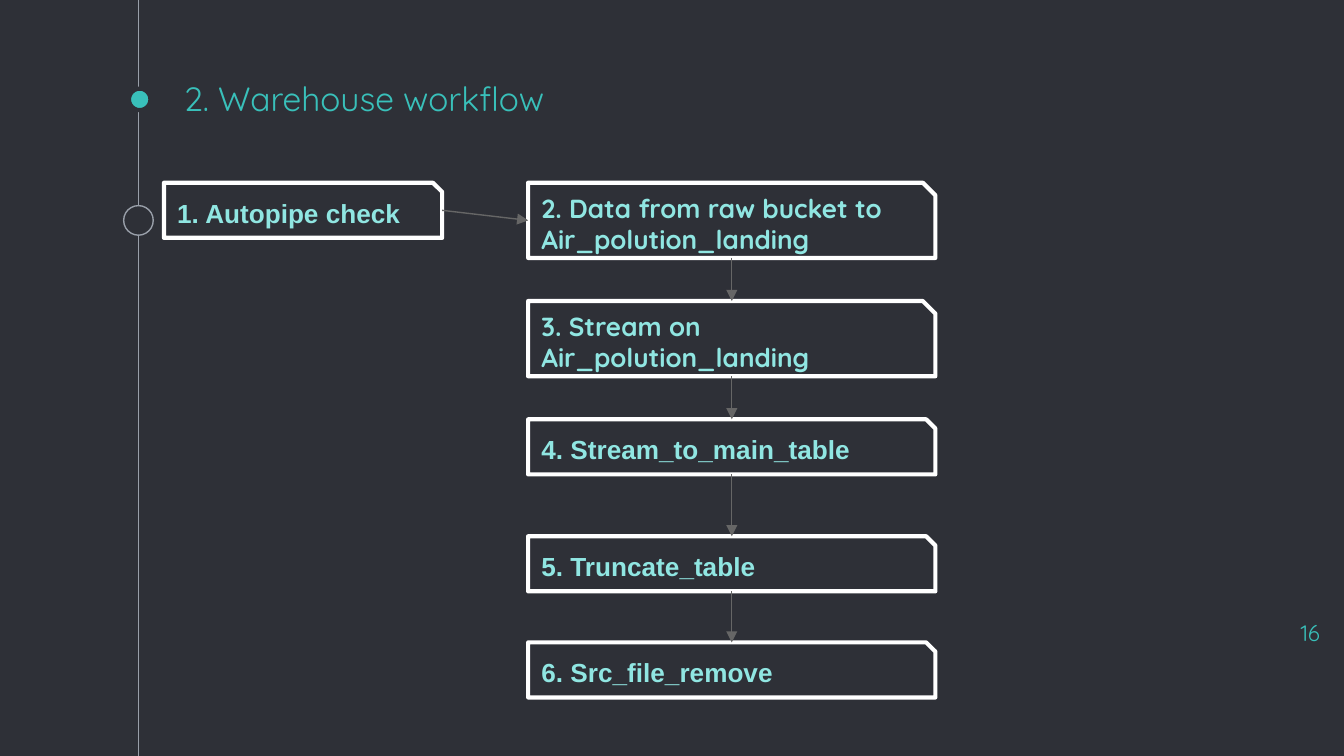
from lxml import etree
from pptx import Presentation
from pptx import util as u
from pptx.dml.color import RGBColor
from pptx.enum import shapes, text
from pptx.oxml.ns import qn

COLORS = {
    "background": "2E3037",
    "rail": "999FA9",
    "accent": "39C0BA",
    "step": "90E6E2",
    "border": "FFFFFF",
    "arrow": "666666",
}
SLIDE_WIDTH = 10
SLIDE_HEIGHT = SLIDE_WIDTH * 9 / 16
STEP_LEFT, STEP_WIDTH = 3.93, 3.03
ONE_LINE, TWO_LINES = 0.41, 0.56
STEPS = [
    ("2. Data from raw bucket to Air_polution_landing", 1.36, TWO_LINES, "Quicksand"),
    ("3. Stream on\nAir_polution_landing", 2.24, TWO_LINES, "Quicksand"),
    ("4. Stream_to_main_table", 3.12, ONE_LINE, "Arial"),
    ("5. Truncate_table", 3.99, ONE_LINE, "Arial"),
    ("6. Src_file_remove", 4.78, ONE_LINE, "Arial"),
]


def color(name):
    """Return the named palette colour."""
    return RGBColor.from_string(COLORS[name])


def set_text(sp, content, size, font, ink, align, anchor, bold=False):
    """Write text into a shape and format all its runs."""
    tf = sp.text_frame
    tf.text = content
    tf.word_wrap = True
    tf.vertical_anchor = anchor
    tf.margin_left = tf.margin_right = u.Inches(0.1)
    tf.margin_top = tf.margin_bottom = u.Inches(0.1)
    for p in tf.paragraphs:
        p.alignment = align
        for r in p.runs:
            r.font.size = u.Pt(size)
            r.font.name = font
            r.font.bold = bold
            r.font.color.rgb = color(ink)


def add_label(s, box, content, size, align, anchor):
    """Add an accent-coloured text box."""
    sp = s.shapes.add_textbox(*map(u.Inches, box))
    set_text(sp, content, size, "Quicksand", "accent", align, anchor)


def add_outlined(s, kind, box, line, width, fill=None):
    """Add a preset shape with an outline and an optional fill."""
    sp = s.shapes.add_shape(kind, *map(u.Inches, box))
    sp.shadow.inherit = False
    if fill:
        sp.fill.solid()
        sp.fill.fore_color.rgb = color(fill)
    else:
        sp.fill.background()
    sp.line.color.rgb = color(line)
    sp.line.width = u.Pt(width)
    return sp


def add_step(s, content, box, font):
    """Add a workflow step with one snipped corner."""
    kind = shapes.MSO_SHAPE.SNIP_1_RECTANGLE
    sp = add_outlined(s, kind, box, "border", 2.25)
    sp.adjustments[0] = 0.167
    set_text(sp, content, 14, font, "step", text.PP_ALIGN.LEFT,
             text.MSO_ANCHOR.MIDDLE, bold=True)
    return sp


def add_line(s, start, end, ink):
    """Add a thin straight connector without a shadow."""
    points = map(u.Inches, (*start, *end))
    line = s.shapes.add_connector(shapes.MSO_CONNECTOR.STRAIGHT, *points)
    line.line.color.rgb = color(ink)
    line.line.width = u.Pt(0.75)
    etree.SubElement(line._element.spPr, qn("a:effectLst"))
    return line


def add_arrow(s, source, source_site, target, target_site):
    """Join two steps with an arrow."""
    arrow = add_line(s, (0, 0), (0, 0), "arrow")
    arrow.begin_connect(source, source_site)
    arrow.end_connect(target, target_site)
    etree.SubElement(arrow.line._get_or_add_ln(), qn("a:tailEnd"), type="triangle")


def add_timeline(s):
    """Add the vertical rail with its two markers."""
    oval = shapes.MSO_SHAPE.OVAL
    add_line(s, (1.03, 0), (1.03, SLIDE_HEIGHT), "rail")
    add_outlined(s, oval, (0.96, 0.66, 0.16, 0.16), "background", 2.25, "accent")
    add_outlined(s, oval, (0.92, 1.53, 0.22, 0.22), "rail", 0.75, "background")


def main():
    """Build and save the workflow slide."""
    prs = Presentation()
    prs.slide_width, prs.slide_height = u.Inches(SLIDE_WIDTH), u.Inches(SLIDE_HEIGHT)
    s = prs.slides.add_slide(prs.slide_layouts[6])
    s.background.fill.solid()
    s.background.fill.fore_color.rgb = color("background")

    add_timeline(s)
    add_label(s, (1.27, 0.6, 7.5, 0.38), "2. Warehouse workflow", 18,
              text.PP_ALIGN.LEFT, text.MSO_ANCHOR.BOTTOM)
    add_label(s, (9.32, 4.51, 0.6, 0.34), "16", 12,
              text.PP_ALIGN.RIGHT, text.MSO_ANCHOR.TOP)

    check = add_step(s, "1. Autopipe check", (1.22, 1.36, 2.07, ONE_LINE), "Arial")
    steps = [add_step(s, content, (STEP_LEFT, top, STEP_WIDTH, height), font)
             for content, top, height, font in STEPS]
    add_arrow(s, check, 3, steps[0], 1)
    for upper, lower in zip(steps, steps[1:]):
        add_arrow(s, upper, 2, lower, 0)

    prs.save("out.pptx")


if __name__ == "__main__":
    main()
